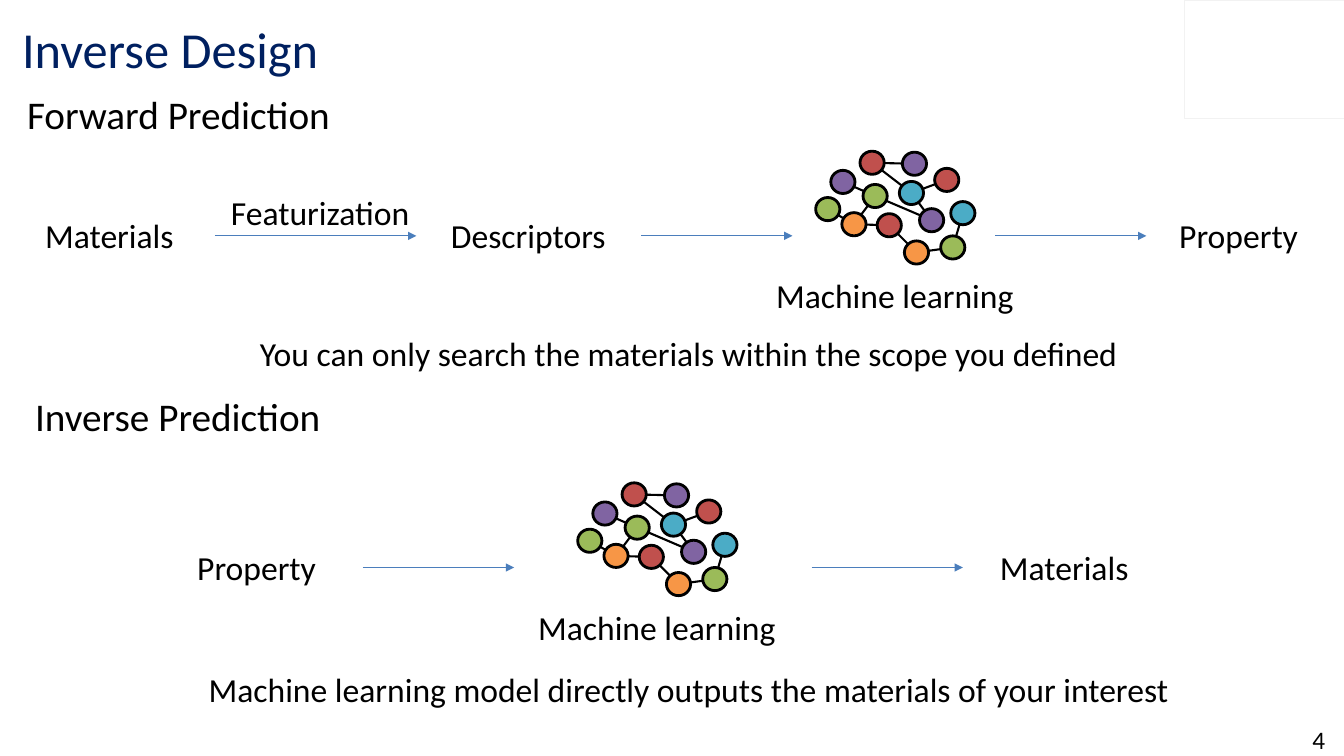
from lxml.etree import SubElement
from pptx import Presentation
from pptx.dml.color import RGBColor
from pptx.enum.shapes import MSO_CONNECTOR, MSO_SHAPE
from pptx.enum.text import MSO_ANCHOR, PP_ALIGN
from pptx.oxml.ns import qn
from pptx.util import Pt

PX = 9144  # EMU per px, 100 px to the inch
SLIDE_SIZE = (1333, 750)

THEME = {
    "font": "Calibri",
    "size": {"title": 36, "heading": 28, "body": 24, "number": 18},
    "color": {
        "title": "002060", "text": "000000", "arrow": "4B7EBC", "frame": "F2F2F2",
        "green": "9BBB59", "purple": "8064A2", "orange": "F79646",
        "red": "C0504D", "teal": "4BACC6",
    },
    "width": {"arrow": 0.75, "edge": 1.5, "node": 2, "frame": 0.25},
}

CORNER_FRAME = (1174, 0, 159, 117)
TITLE = ("Inverse Design", (12, 10, 1029, 75))
SLIDE_NUMBER = ("4", (1283, 717, 50, 33))
HEADINGS = [
    ("Forward Prediction", (17, 85, 367, 57)),
    ("Inverse Prediction", (25, 384, 367, 57)),
]
# text, left, top, width
LABELS = [
    ("Materials", 25, 208, 167),
    ("Featurization", 218, 185, 199),
    ("Descriptors", 434, 208, 180),
    ("Property", 1158, 208, 141),
    ("You can only search the materials within the scope you defined", 181, 325, 1004),
    ("Property", 184, 538, 141),
    ("Materials", 972, 538, 167),
    ("Machine learning model directly outputs the materials of your interest",
     181, 659, 1004),
]
LABEL_HEIGHT = 50
# left, right, y
ARROWS = [
    (213, 413, 234), (636, 786, 234), (987, 1137, 234),
    (360, 510, 563), (805, 955, 563),
]

NETWORK_ORIGINS = [(736, 150), (500, 479)]
NETWORK_LABEL = ("Machine learning", 118, 303)  # text, top, width
NODE_SIZE = (24, 23)
# colour, left and top within the network
NODES = [
    ("green", 73, 46), ("purple", 88, 19), ("purple", 159, 1), ("green", 120, 33),
    ("orange", 99, 61), ("red", 134, 62), ("teal", 156, 30), ("orange", 161, 89),
    ("red", 191, 17), ("teal", 207, 50), ("green", 197, 84), ("red", 117, 0),
    ("purple", 176, 57),
]
# pairs of positions in NODES
EDGES = [
    (11, 2), (6, 8), (3, 1), (4, 0), (10, 7), (9, 10),
    (5, 7), (3, 12), (4, 3), (6, 11), (12, 6), (5, 4),
]


def emu(lengths):
    return [round(length * PX) for length in lengths]


def color(name):
    return RGBColor.from_string(THEME["color"][name])


def add_text(shapes, text, box, size="body", ink="text",
             align=PP_ALIGN.CENTER, anchor=MSO_ANCHOR.TOP):
    frame = shapes.add_textbox(*emu(box)).text_frame
    frame.word_wrap = True
    frame.vertical_anchor = anchor
    paragraph = frame.paragraphs[0]
    paragraph.alignment = align
    run = paragraph.add_run()
    run.text = text
    run.font.name = THEME["font"]
    run.font.size = Pt(THEME["size"][size])
    run.font.color.rgb = color(ink)


def add_line(shapes, start, end, ink, width, arrow=False):
    connector = shapes.add_connector(MSO_CONNECTOR.STRAIGHT, *emu(start + end))
    connector.line.color.rgb = color(ink)
    connector.line.width = Pt(THEME["width"][width])
    if arrow:
        SubElement(connector.line._get_or_add_ln(), qn("a:tailEnd"), type="triangle")
    SubElement(connector._element.spPr, qn("a:effectLst"))


def add_outlined(shapes, preset, box, ink, width, fill=None):
    shape = shapes.add_shape(preset, *emu(box))
    shape.shadow.inherit = False
    if fill:
        shape.fill.solid()
        shape.fill.fore_color.rgb = color(fill)
    else:
        shape.fill.background()
    shape.line.color.rgb = color(ink)
    shape.line.width = Pt(THEME["width"][width])


def add_network(slide, left, top):
    shapes = slide.shapes.add_group_shape().shapes
    text, label_top, label_width = NETWORK_LABEL
    add_text(shapes, text, (left, top + label_top, label_width, LABEL_HEIGHT),
             anchor=MSO_ANCHOR.MIDDLE)
    width, height = NODE_SIZE
    centers = [(left + x + width / 2, top + y + height / 2) for _, x, y in NODES]
    for first, second in EDGES:
        add_line(shapes, centers[first], centers[second], "text", "edge")
    for fill, x, y in NODES:
        add_outlined(shapes, MSO_SHAPE.OVAL, (left + x, top + y, width, height),
                     "text", "node", fill)


def main():
    presentation = Presentation()
    presentation.slide_width, presentation.slide_height = emu(SLIDE_SIZE)
    slide = presentation.slides.add_slide(presentation.slide_layouts[6])
    shapes = slide.shapes

    add_outlined(shapes, MSO_SHAPE.RECTANGLE, CORNER_FRAME, "frame", "frame")
    add_text(shapes, *SLIDE_NUMBER, size="number", anchor=MSO_ANCHOR.MIDDLE)
    add_text(shapes, *TITLE, size="title", ink="title",
             align=PP_ALIGN.LEFT, anchor=MSO_ANCHOR.MIDDLE)
    for text, box in HEADINGS:
        add_text(shapes, text, box, size="heading", align=PP_ALIGN.LEFT)
    for text, left, top, width in LABELS:
        add_text(shapes, text, (left, top, width, LABEL_HEIGHT))
    for left, right, y in ARROWS:
        add_line(shapes, (left, y), (right, y), "arrow", "arrow", arrow=True)
    for left, top in NETWORK_ORIGINS:
        add_network(slide, left, top)

    presentation.save("out.pptx")


if __name__ == "__main__":
    main()
